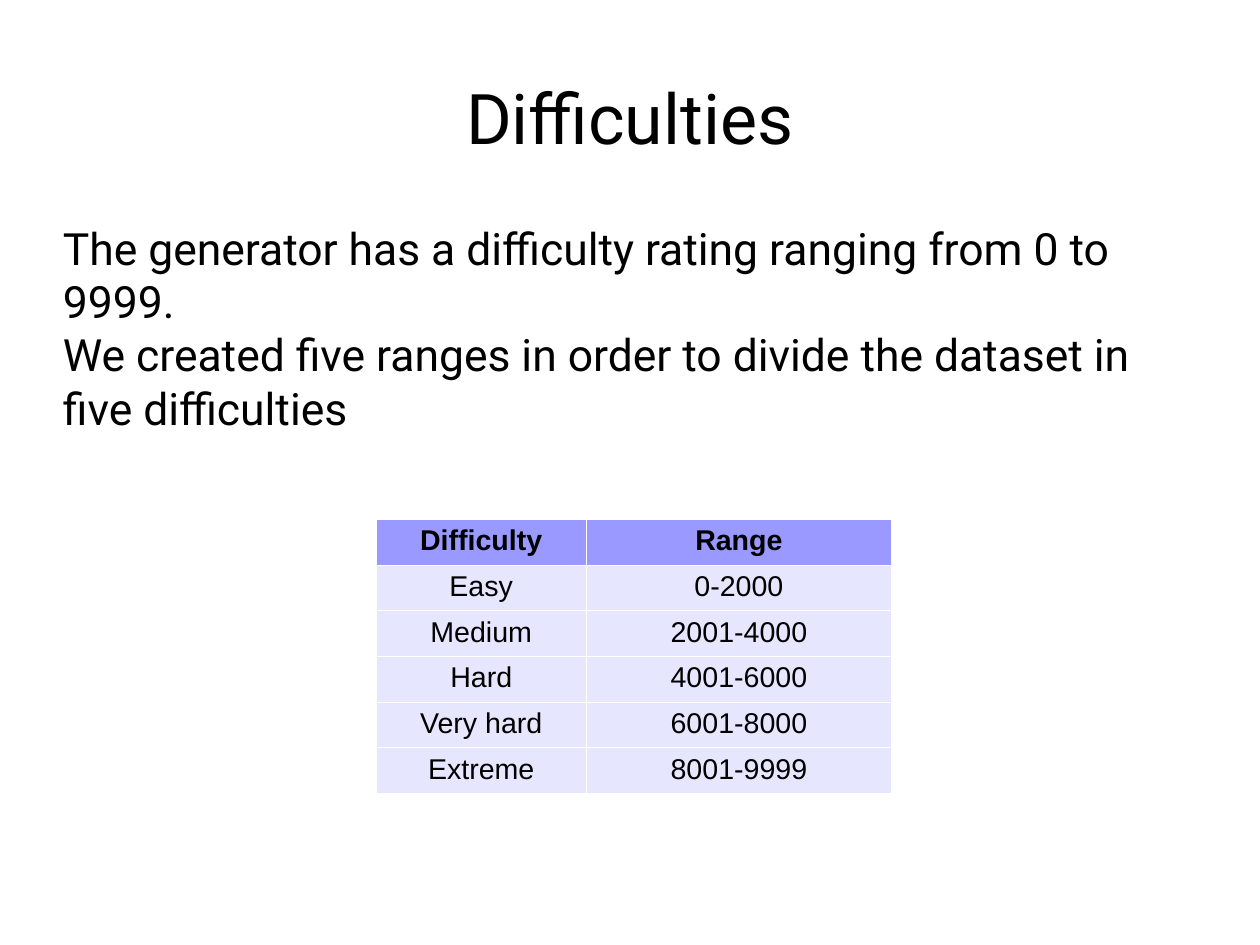
from dataclasses import dataclass

from lxml import etree
from pptx import Presentation
from pptx import util as u
from pptx.dml.color import RGBColor
from pptx.enum import text
from pptx.oxml.ns import qn

# Content
HEADING = "Difficulties"
EXPLANATION = [
    "The generator has a difficulty rating ranging from 0 to 9999.",
    "We created five ranges in order to divide the dataset in five difficulties",
]
RANGES = [
    ("Difficulty", "Range"),
    ("Easy", "0-2000"),
    ("Medium", "2001-4000"),
    ("Hard", "4001-6000"),
    ("Very hard", "6001-8000"),
    ("Extreme", "8001-9999"),
]


@dataclass(frozen=True)
class Theme:
    text_font: str = "Roboto"
    table_font: str = "Arial"
    heading_size: int = 44
    body_size: int = 28
    table_size: int = 18
    ink: str = "000000"
    header_fill: str = "9999FF"
    row_fill: str = "E6E6FF"
    rule: str = "FFFFFF"
    rule_width: float = 0.06


THEME = Theme()

# Layout: the slide is 28 by 21 cm, its parts are placed in inches
SLIDE_WIDTH, SLIDE_HEIGHT = u.Cm(28), u.Cm(21)
MARGIN = SLIDE_WIDTH.inches * 0.05
CONTENT_WIDTH = SLIDE_WIDTH.inches * 0.9
HEADING_BOX = (MARGIN, SLIDE_HEIGHT.inches * 0.04, CONTENT_WIDTH, 1.38)
EXPLANATION_BOX = (MARGIN, 1.93, CONTENT_WIDTH, 2.17)
COLUMN_WIDTHS = (1.84, 2.67)
ROW_HEIGHT = 0.4
TABLE_LEFT, TABLE_TOP = 3.29, 4.54
CELL_INSETS = (0.1, 0.05, 0.1, 0.05)


def inches(lengths):
    return [u.Inches(length) for length in lengths]


def set_insets(box, insets):
    (box.margin_left, box.margin_top,
     box.margin_right, box.margin_bottom) = inches(insets)


def write(paragraph, words, font, size, align, bold=False):
    paragraph.alignment = align
    run = paragraph.add_run()
    run.text = words
    run.font.name = font
    run.font.size = u.Pt(size)
    run.font.bold = bold
    run.font.color.rgb = RGBColor.from_string(THEME.ink)


def prepare_frame(frame, anchor):
    set_insets(frame, (0, 0, 0, 0))
    frame.word_wrap = True
    frame.auto_size = text.MSO_AUTO_SIZE.NONE
    frame.vertical_anchor = anchor


def rule_cell(cell):
    for side in ("a:lnL", "a:lnR", "a:lnT", "a:lnB"):
        line = etree.SubElement(cell._tc.get_or_add_tcPr(), qn(side),
                                w=str(u.Pt(THEME.rule_width)))
        fill = etree.SubElement(line, qn("a:solidFill"))
        etree.SubElement(fill, qn("a:srgbClr"), val=THEME.rule)


def add_heading(slide):
    heading = slide.shapes.title
    heading.left, heading.top, heading.width, heading.height = inches(HEADING_BOX)
    prepare_frame(heading.text_frame, text.MSO_ANCHOR.MIDDLE)
    write(heading.text_frame.paragraphs[0], HEADING, THEME.text_font,
          THEME.heading_size, text.PP_ALIGN.CENTER)


def add_explanation(slide):
    frame = slide.shapes.add_textbox(*inches(EXPLANATION_BOX)).text_frame
    prepare_frame(frame, text.MSO_ANCHOR.TOP)
    for index, sentence in enumerate(EXPLANATION):
        paragraph = frame.add_paragraph() if index else frame.paragraphs[0]
        write(paragraph, sentence, THEME.text_font, THEME.body_size,
              text.PP_ALIGN.LEFT)


def add_ranges(slide):
    box = (TABLE_LEFT, TABLE_TOP, sum(COLUMN_WIDTHS), ROW_HEIGHT * len(RANGES))
    ranges = slide.shapes.add_table(len(RANGES), len(COLUMN_WIDTHS),
                                    *inches(box)).table
    for column, width in zip(ranges.columns, COLUMN_WIDTHS):
        column.width = u.Inches(width)
    for r, entries in enumerate(RANGES):
        is_header = r == 0
        ranges.rows[r].height = u.Inches(ROW_HEIGHT)
        for c, entry in enumerate(entries):
            cell = ranges.cell(r, c)
            set_insets(cell, CELL_INSETS)
            rule_cell(cell)
            cell.fill.solid()
            cell.fill.fore_color.rgb = RGBColor.from_string(
                THEME.header_fill if is_header else THEME.row_fill)
            write(cell.text_frame.paragraphs[0], entry, THEME.table_font,
                  THEME.table_size, text.PP_ALIGN.CENTER, bold=is_header)


def main():
    deck = Presentation()
    deck.slide_width, deck.slide_height = SLIDE_WIDTH, SLIDE_HEIGHT
    title_only = deck.slide_layouts[5]
    slide = deck.slides.add_slide(title_only)
    add_heading(slide)
    add_explanation(slide)
    add_ranges(slide)
    deck.save("out.pptx")


if __name__ == "__main__":
    main()
